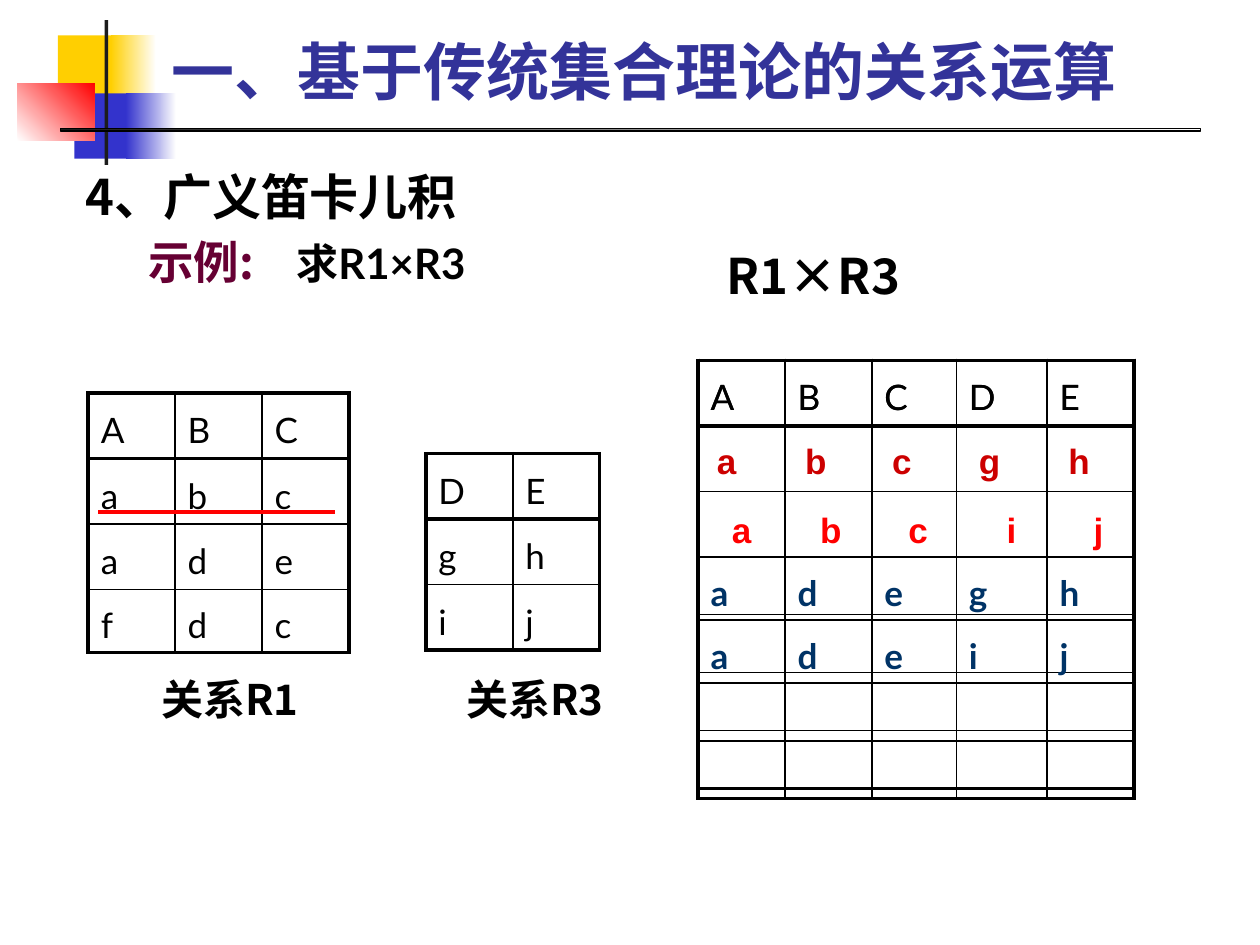
from lxml import etree
from pptx import Presentation
from pptx.dml.color import RGBColor
from pptx.enum import shapes, text
from pptx.oxml import ns
from pptx.util import Inches, Pt

COLORS = {"black": "000000", "ink": "1C1C1C", "white": "FFFFFF", "yellow": "FFCF01",
          "blue": "3333CC", "red": "FF0000", "title": "333399", "plum": "660033",
          "navy": "003366", "crimson": "CC0000"}
CJK = "Noto Sans CJK SC"


def style(font, size, color, name="Lato", bold=True):
    """Set size, colour and weight, with one font for Latin and one for Chinese."""
    font.size, font.bold, font.name = Pt(size), bold, name
    font.color.rgb = RGBColor.from_string(COLORS[color])
    etree.SubElement(font._rPr, ns.qn("a:ea"), typeface=CJK)


def add_grid(page, left, top, widths, heights, rows, body_color="black", body_bold=False):
    """Add a relation table: thick frame, thick rule under the header, thin inner rules."""
    frame = page.shapes.add_table(len(heights), len(widths), Inches(left), Inches(top),
                                  Inches(sum(widths)), Inches(sum(heights)))
    table = frame.table
    table.first_row = table.horz_banding = False
    for column, width in zip(table.columns, widths):
        column.width = Inches(width)
    last_row, last_column = len(heights) - 1, len(widths) - 1
    for r, height in enumerate(heights):
        table.rows[r].height = Inches(height)
        for c in range(len(widths)):
            cell = table.cell(r, c)
            cell.vertical_anchor = text.MSO_ANCHOR.MIDDLE
            thick = {"lnL": c == 0, "lnR": c == last_column,
                     "lnT": r < 2, "lnB": r in (0, last_row)}
            for side, is_thick in thick.items():
                border = etree.SubElement(cell._tc.get_or_add_tcPr(), ns.qn("a:" + side),
                                          w=str(Pt(2.25 if is_thick else 1)))
                paint = etree.SubElement(border, ns.qn("a:solidFill"))
                etree.SubElement(paint, ns.qn("a:srgbClr"), val=COLORS["black"])
            cell.fill.background()
            if r < len(rows) and rows[r]:
                cell.text = rows[r][c]
                para = cell.text_frame.paragraphs[0]
                para.line_spacing = 1.2
                if r == 0:
                    style(para.font, 20, "black", bold=False)
                else:
                    style(para.font, 20, body_color, bold=body_bold)


deck = Presentation()
deck.slide_width, deck.slide_height = Inches(10), Inches(7.5)
page = deck.slides.add_slide(deck.slide_layouts[5])

# Corner ornament and title rule: left, top, width, height, colours, gradient angle
ornament = [
    (0.46, 0.28, 0.48, 0.52, ["yellow"], 0),
    (0.88, 0.28, 0.36, 0.52, ["yellow", "white"], 0),
    (0.59, 0.74, 0.46, 0.52, ["blue"], 0),
    (1, 0.74, 0.4, 0.52, ["blue", "white"], 0),
    (0.14, 0.66, 0.61, 0.46, ["white", "red"], 45),
    (0.83, 0.16, 0.03, 1.15, ["ink"], 0),
    (0.48, 1.02, 9.05, 0.02, ["ink", "white"], 0),
]
for left, top, width, height, colors, angle in ornament:
    block = page.shapes.add_shape(shapes.MSO_SHAPE.RECTANGLE, Inches(left), Inches(top),
                                  Inches(width), Inches(height))
    block.shadow.inherit = False
    block.line.fill.background()
    if len(colors) == 1:
        block.fill.solid()
        block.fill.fore_color.rgb = RGBColor.from_string(COLORS[colors[0]])
    else:
        block.fill.gradient()
        block.fill.gradient_angle = angle
        for position, (stop, color) in enumerate(zip(block.fill.gradient_stops, colors)):
            stop.position = position
            stop.color.rgb = RGBColor.from_string(COLORS[color])
title_rule = block
title_rule.line.color.rgb = RGBColor.from_string(COLORS["black"])
title_rule.line.width = Pt(0.75)

title = page.shapes.title
title.left, title.top, title.width, title.height = map(Inches, (1.26, 0.23, 8.52, 0.68))
title.text = "一、基于传统集合理论的关系运算"
title.text_frame.vertical_anchor = text.MSO_ANCHOR.BOTTOM
title.text_frame.paragraphs[0].alignment = text.PP_ALIGN.LEFT
style(title.text_frame.paragraphs[0].font, 36, "title")
page.shapes._spTree.append(title._element)

# Section heading and example
box = page.shapes.add_textbox(Inches(0.58), Inches(1.27), Inches(8.96), Inches(5.83))
box.text_frame.word_wrap = True
heading = box.text_frame.paragraphs[0]
heading.text = "4、广义笛卡儿积"
style(heading.font, 28, "black", CJK)
example = box.text_frame.add_paragraph()
example.space_before = Pt(5.2)
example._p.get_or_add_pPr().set("marL", str(Inches(0.5)))
for words, size, color, name in [("示例:", 26, "plum", CJK),
                                 ("\u3000求R1×R3".replace("\u3000", "　"), 24, "black", "Lato")]:
    span = example.add_run()
    span.text = words
    style(span.font, size, color, name)

# Relations and their captions
add_grid(page, 3.38, 3.6, [0.69] * 2, [0.52] * 3, ["DE", "gh", "ij"])
add_grid(page, 0.7, 3.12, [0.69] * 3, [0.52] * 3 + [0.5], ["ABC", "abc", "ade", "fdc"])
for left, top, width, height, words, size in [(3.49, 5.3, 1.51, 0.5, "关系R3", 24),
                                              (5.47, 1.9, 1.97, 0.57, "R1×R3", 28),
                                              (1.09, 5.3, 1.47, 0.5, "关系R1", 24)]:
    box = page.shapes.add_textbox(Inches(left), Inches(top), Inches(width), Inches(height))
    box.text_frame.word_wrap = True
    caption = box.text_frame.paragraphs[0]
    caption.text = words
    caption.alignment = text.PP_ALIGN.CENTER
    style(caption.font, size, "black", CJK)

# The product: an empty grid beneath the one with the later rows
product_widths = [0.69, 0.69, 0.67, 0.72, 0.69]
add_grid(page, 5.54, 2.86, product_widths, [0.52] * 3 + [0.46] * 4, ["ABCDE"])
strike = page.shapes.add_connector(shapes.MSO_CONNECTOR.STRAIGHT, Inches(0.78), Inches(4.06),
                                   Inches(2.66), Inches(4.06))
strike.line.color.rgb = RGBColor.from_string(COLORS["red"])
strike.line.width = Pt(2.25)
etree.SubElement(strike._element.spPr, ns.qn("a:effectLst"))
add_grid(page, 5.54, 2.86, product_widths, [0.52] * 3 + [0.5] * 2 + [0.46] * 2,
         ["ABCDE", "", "", "adegh", "adeij"], "navy", True)

# First two product rows, letters set on tab stops
for top, inset, stops, letters, color in [
        (3.44, 0.14, [0.7, 1.39, 2.08, 2.79], "abcgh", "crimson"),
        (3.99, 0.26, [0.7, 1.4, 2.18, 2.87], "abcij", "red")]:
    box = page.shapes.add_textbox(Inches(5.55), Inches(top), Inches(3.46), Inches(0.43))
    box.text_frame.word_wrap = True
    box.text_frame.margin_left = Inches(inset)
    para = box.text_frame.paragraphs[0]
    para.text = "\t".join(letters)
    tabs = etree.SubElement(para._p.get_or_add_pPr(), ns.qn("a:tabLst"))
    for stop in stops:
        etree.SubElement(tabs, ns.qn("a:tab"), pos=str(Inches(stop)), algn="l")
    style(para.font, 20, color, "Arial")

deck.save("out.pptx")
